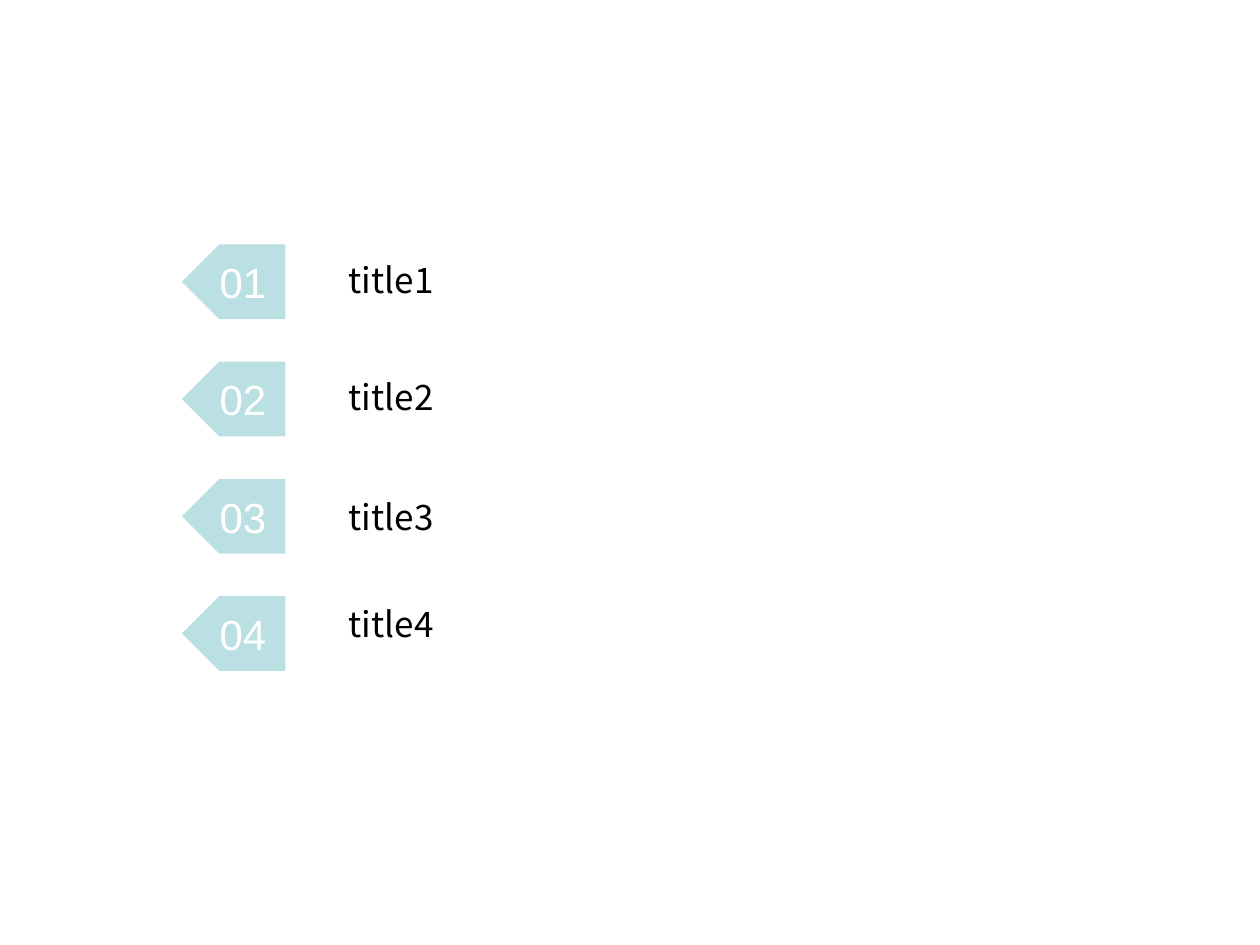
import pptx
import pptx.dml.color
import pptx.enum.shapes
import pptx.enum.text
import pptx.util

Pt = pptx.util.Pt
TEAL = pptx.dml.color.RGBColor(0xBB, 0xE0, 0xE3)
WHITE = pptx.dml.color.RGBColor(0xFF, 0xFF, 0xFF)
BLACK = pptx.dml.color.RGBColor(0x00, 0x00, 0x00)

TAG_TOP, TAG_STEP = 139.7, 67
TITLE_TOPS = [144, 211, 279.4, 340.6]
NUMBER_FONT = {"name": "Arial", "size": Pt(24)}
TITLE_FONT = {"name": "Noto Sans CJK SC", "size": Pt(20)}


def write(tf, text, font, color):
    """Put one formatted run in a text frame and return its paragraph."""
    p = tf.paragraphs[0]
    r = p.add_run()
    r.text = text
    for key, value in font.items():
        setattr(r.font, key, value)
    r.font.color.rgb = color
    return p


prs = pptx.Presentation()
prs.slide_width, prs.slide_height = Pt(720), Pt(540)
s = prs.slides.add_slide(prs.slide_layouts[6])

# Numbered tags pointing left
for i in range(len(TITLE_TOPS)):
    sp = s.shapes.add_shape(pptx.enum.shapes.MSO_SHAPE.PENTAGON,
                            Pt(104), Pt(TAG_TOP + i * TAG_STEP), Pt(59.2), Pt(42.6))
    sp.name = f"Tag {i + 1}"
    sp.shadow.inherit = False
    sp.fill.solid()
    sp.fill.fore_color.rgb = TEAL
    sp.line.fill.background()
    sp._element.spPr.xfrm.set("flipH", "1")
    tf = sp.text_frame
    tf.word_wrap = False
    tf.vertical_anchor = pptx.enum.text.MSO_ANCHOR.MIDDLE
    p = write(tf, f"{i + 1:02d}", NUMBER_FONT, WHITE)
    p.alignment = pptx.enum.text.PP_ALIGN.CENTER

# Titles beside the tags
for i, top in enumerate(TITLE_TOPS, 1):
    sp = s.shapes.add_textbox(Pt(192.2), Pt(top), Pt(485.3), Pt(31.7))
    sp.name = f"Title {i}"
    tf = sp.text_frame
    tf.word_wrap = True
    tf.auto_size = pptx.enum.text.MSO_AUTO_SIZE.SHAPE_TO_FIT_TEXT
    write(tf, f"title{i}", TITLE_FONT, BLACK)

prs.save("out.pptx")
